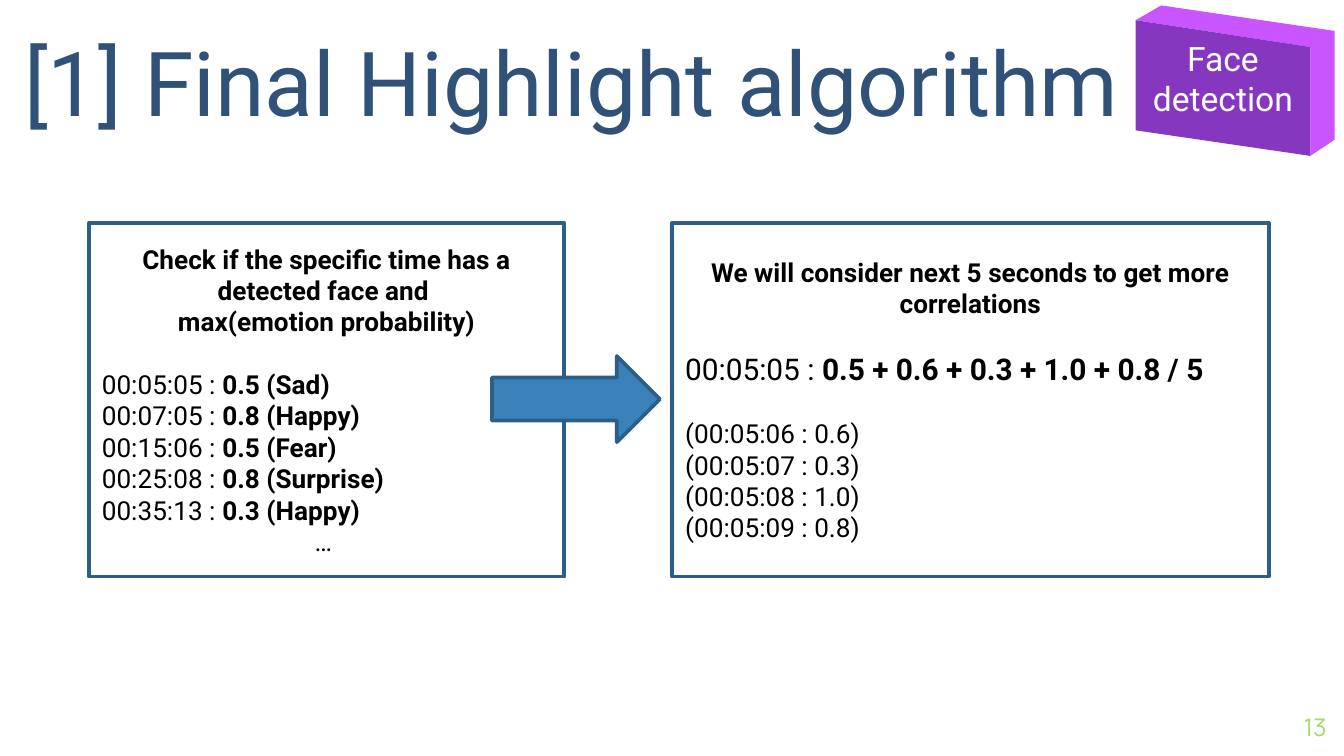
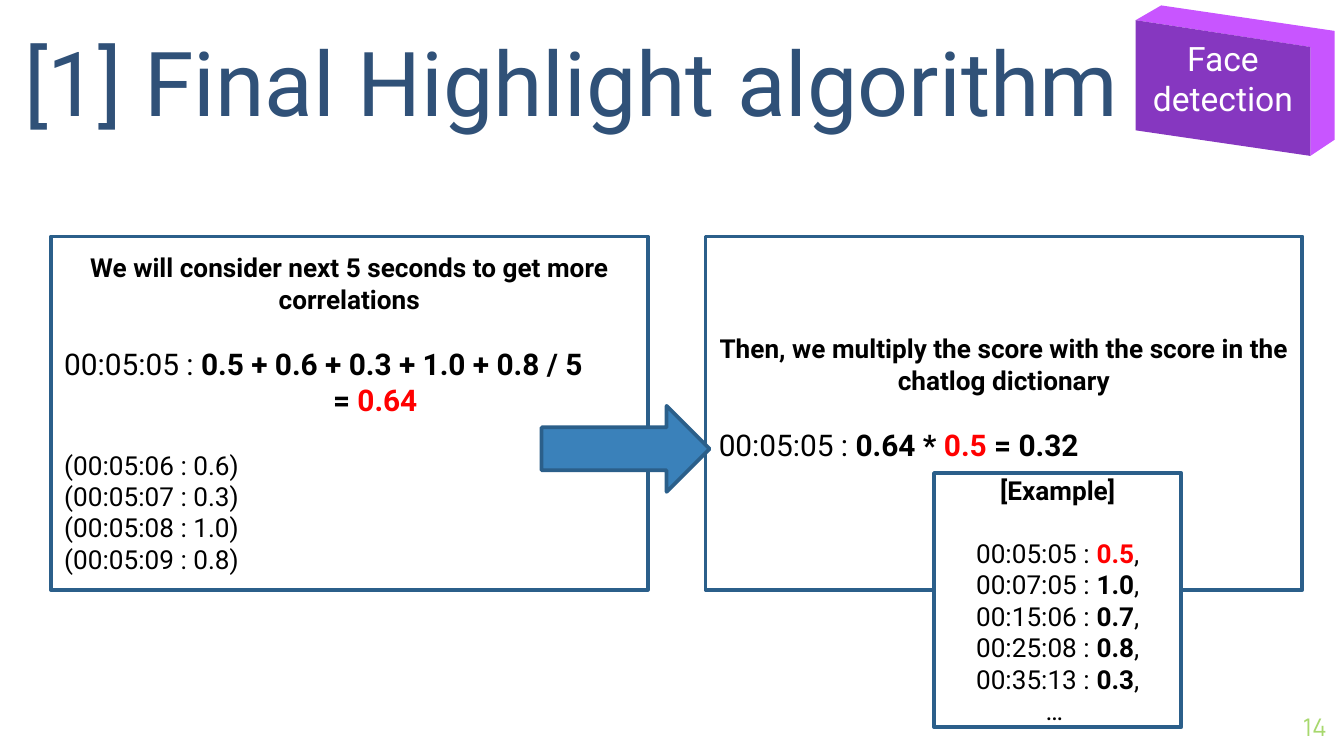
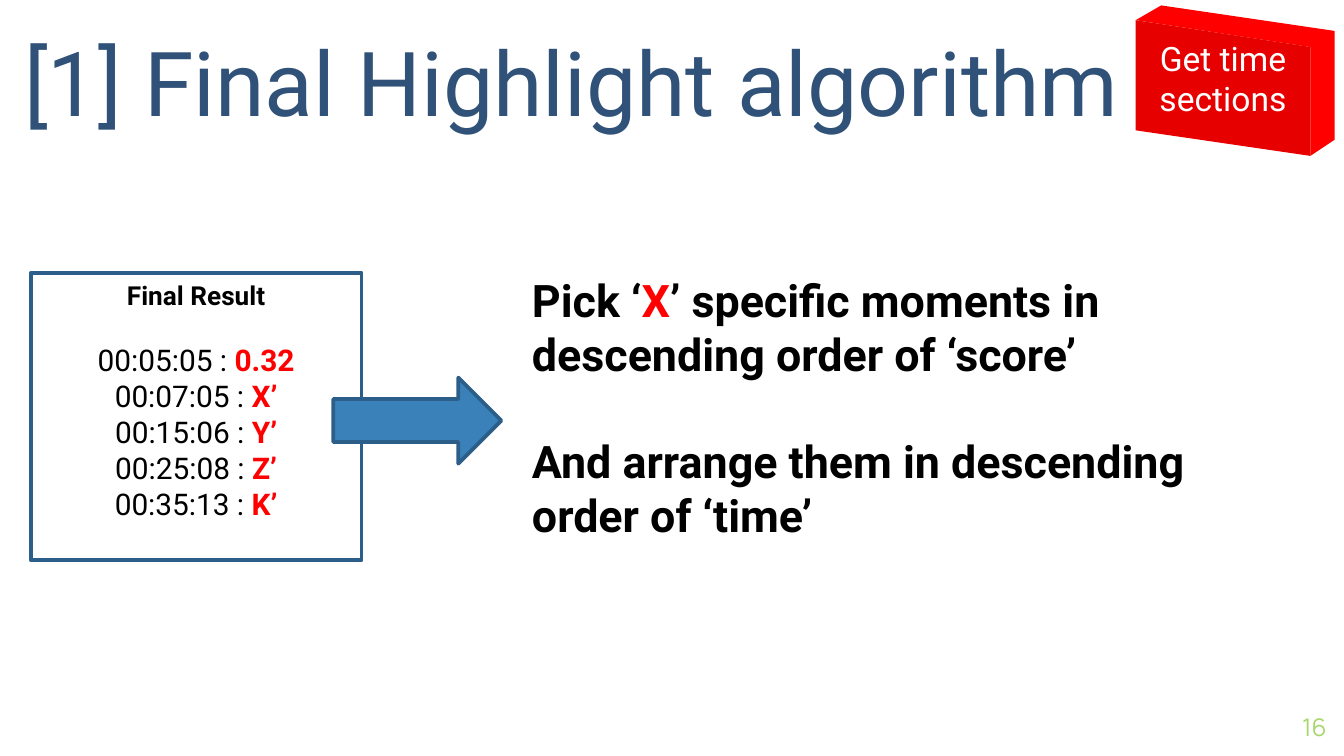
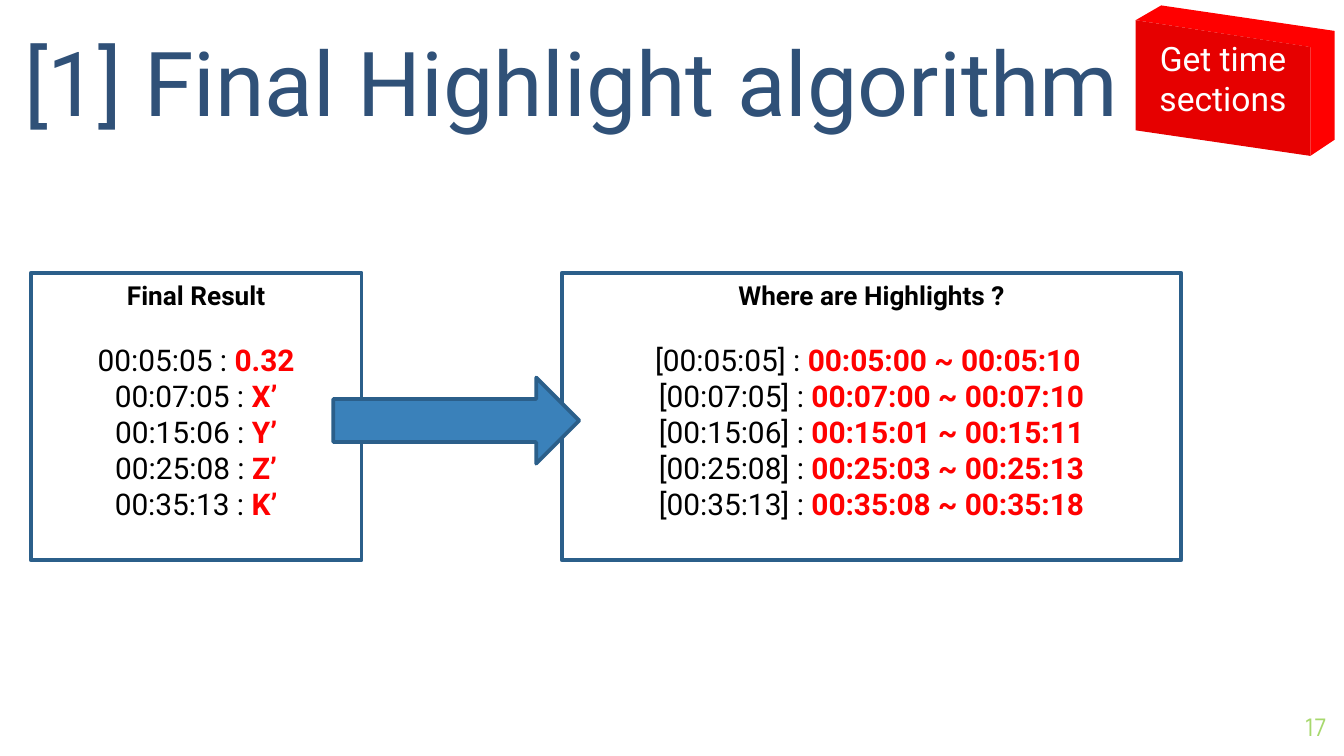
import dataclasses
import pptx
import pptx.util
import pptx.dml.color
import pptx.enum.shapes
import pptx.enum.text

Inches = pptx.util.Inches
Align = pptx.enum.text.PP_ALIGN
Anchor = pptx.enum.text.MSO_ANCHOR
Preset = pptx.enum.shapes.MSO_SHAPE


@dataclasses.dataclass(frozen=True)
class Theme:
    font: str = "Roboto"
    number_font: str = "Manrope"
    title: str = "305178"
    number: str = "A7D86D"
    text: str = "000000"
    accent: str = "FF0000"
    paper: str = "FFFFFF"
    outline: str = "2B5F8A"
    arrow: str = "3A81BA"
    purple: tuple = ("8637C0", "C855FF")
    red: tuple = ("E60000", "FF0000")
    title_size: int = 48
    statement_size: int = 24
    badge_size: int = 18
    score_size: int = 16
    body_size: int = 14
    number_size: int = 13
    line_height: float = 1.2


THEME = Theme()


@dataclasses.dataclass
class Line:
    runs: list
    size: int = THEME.body_size
    align: Align = Align.LEFT
    gap: int = 0
    indent: float = 0


def plain(text):
    return text, False, THEME.text


def bold(text):
    return text, True, THEME.text


def accent(text):
    return text, True, THEME.accent


def heading(text):
    return Line([bold(text)], align=Align.CENTER)


def rgb(value):
    return pptx.dml.color.RGBColor.from_string(value)


def write_lines(shape, lines, anchor=Anchor.TOP, font=THEME.font):
    frame = shape.text_frame
    frame.word_wrap = True
    frame.vertical_anchor = anchor
    for index, line in enumerate(lines):
        paragraph = frame.paragraphs[0] if index == 0 else frame.add_paragraph()
        paragraph.alignment = line.align
        if line.gap:
            paragraph.space_before = pptx.util.Pt(line.gap * THEME.line_height)
        if line.indent:
            paragraph._p.get_or_add_pPr().set("marL", str(Inches(line.indent)))
        for text, is_bold, color in line.runs:
            run = paragraph.add_run()
            run.text = text
            run.font.name = font
            run.font.size = pptx.util.Pt(line.size)
            run.font.bold = is_bold
            run.font.color.rgb = rgb(color)


def add_text(slide, place, lines, anchor=Anchor.TOP, font=THEME.font, margin=None):
    shape = slide.shapes.add_textbox(*map(Inches, place))
    if margin is not None:
        frame = shape.text_frame
        frame.margin_left = frame.margin_right = Inches(margin)
        frame.margin_top = frame.margin_bottom = Inches(margin)
    write_lines(shape, lines, anchor, font)


def add_outlined(slide, preset, place, fill):
    shape = slide.shapes.add_shape(preset, *map(Inches, place))
    shape.shadow.inherit = False
    shape.fill.solid()
    shape.fill.fore_color.rgb = rgb(fill)
    shape.line.color.rgb = rgb(THEME.outline)
    shape.line.width = pptx.util.Pt(2)
    return shape


def add_panel(slide, place, lines, anchor=Anchor.MIDDLE, bottom_margin=0.05):
    panel = add_outlined(slide, Preset.RECTANGLE, place, THEME.paper)
    panel.text_frame.margin_bottom = Inches(bottom_margin)
    write_lines(panel, lines, anchor)


def add_arrow(slide, left, top, width=1.25):
    add_outlined(slide, Preset.RIGHT_ARROW, (left, top, width, 0.64), THEME.arrow)


def add_face(slide, points, color):
    points = [(Inches(x), Inches(y)) for x, y in points]
    builder = slide.shapes.build_freeform(*points[0])
    builder.add_line_segments(points[1:], close=True)
    face = builder.convert_to_shape()
    face.shadow.inherit = False
    face.fill.solid()
    face.fill.fore_color.rgb = rgb(color)
    face.line.fill.background()


def add_badge(slide, labels, colors):
    front_color, edge_color = colors
    left_top, right_top = (8.45, 0.15), (9.75, 0.35)
    left_bottom, right_bottom = (8.45, 0.97), (9.75, 1.16)
    back_left, back_right, back_bottom = (8.64, 0.04), (9.93, 0.23), (9.93, 1.04)
    add_face(slide, [left_top, back_left, back_right, back_bottom, right_bottom, right_top],
             edge_color)
    add_face(slide, [left_top, right_top, right_bottom, left_bottom], front_color)
    lines = [Line([(label, False, THEME.paper)], THEME.badge_size, Align.CENTER)
             for label in labels]
    add_text(slide, (8.38, 0.23, 1.44, 0.85), lines)


def start_slide(presentation, number, badge_labels, badge_colors):
    slide = presentation.slides.add_slide(presentation.slide_layouts[6])
    number_line = Line([(str(number), False, THEME.number)], THEME.number_size, Align.RIGHT)
    add_text(slide, (9.27, 5.19, 0.6, 0.43), [number_line], Anchor.MIDDLE,
             THEME.number_font, 0)
    title = Line([("[1] Final Highlight algorithm", False, THEME.title)], THEME.title_size)
    add_text(slide, (0.18, 0.06, 8.61, 0.94), [title], Anchor.BOTTOM, margin=0)
    add_badge(slide, badge_labels, badge_colors)
    return slide


def gap_first(lines):
    lines[0].gap = THEME.body_size
    return lines


def correlation_lines(result=None):
    lines = [
        heading("We will consider next 5 seconds to get more correlations"),
        Line([plain("00:05:05 : "), bold("0.5 + 0.6 + 0.3 + 1.0 + 0.8 / 5")],
             THEME.score_size, gap=THEME.body_size),
    ]
    if result:
        lines.append(Line([bold("= "), accent(result)], THEME.score_size, indent=2))
    scores = [("00:05:06", "0.6"), ("00:05:07", "0.3"), ("00:05:08", "1.0"), ("00:05:09", "0.8")]
    return lines + gap_first([Line([plain(f"({time} : {score})")]) for time, score in scores])


def add_result_panel(slide, place, title, rows):
    lines = [Line([plain(f"{label} : "), accent(value)], THEME.score_size, Align.CENTER)
             for label, value in rows]
    add_panel(slide, place, [heading(title)] + gap_first(lines), Anchor.TOP)


def add_final_result(slide, times):
    values = ["0.32", "X’", "Y’", "Z’", "K’"]
    add_result_panel(slide, (0.23, 2.03, 2.46, 2.14), "Final Result", zip(times, values))


def build_emotion_slide(presentation, times, badge):
    slide = start_slide(presentation, 13, *badge)
    emotions = ["0.5 (Sad)", "0.8 (Happy)", "0.5 (Fear)", "0.8 (Surprise)", "0.3 (Happy)"]
    rows = gap_first([Line([plain(f"{time} : "), bold(emotion)])
                      for time, emotion in zip(times, emotions)])
    add_panel(slide, (0.66, 1.66, 3.54, 2.63), [
        heading("Check if the specific time has a detected face and "),
        heading("max(emotion probability)"),
        *rows,
        Line([plain("… ")], align=Align.CENTER),
    ])
    add_panel(slide, (5, 1.66, 4.44, 2.63), correlation_lines())
    add_arrow(slide, 3.66, 2.65)


def build_multiply_slide(presentation, times, badge):
    slide = start_slide(presentation, 14, *badge)
    add_panel(slide, (0.38, 1.76, 4.44, 2.63), correlation_lines("0.64"))
    add_panel(slide, (5.25, 1.76, 4.44, 2.63), [
        heading("Then, we multiply the score with the score in the chatlog dictionary"),
        Line([plain("00:05:05 : "), bold("0.64 * "), accent("0.5"), bold(" = 0.32")],
             THEME.score_size, gap=THEME.body_size),
    ], bottom_margin=0.28)
    scores = [accent("0.5"), bold("1.0"), bold("0.7"), bold("0.8"), bold("0.3")]
    rows = gap_first([Line([plain(f"{time} : "), score, plain(",")], align=Align.CENTER)
                      for time, score in zip(times, scores)])
    add_panel(slide, (6.95, 3.52, 1.84, 1.89), [
        heading("[Example]"), *rows, Line([plain("… ")], align=Align.CENTER)])
    add_arrow(slide, 4.03, 3.02)


def build_pick_slide(presentation, times, badge):
    slide = start_slide(presentation, 16, *badge)
    add_final_result(slide, times)
    add_text(slide, (3.86, 1.98, 5.24, 2.46), [
        Line([bold("Pick ‘"), accent("X"),
              bold("’ specific moments in descending order of ‘score’")],
             THEME.statement_size),
        Line([bold("And arrange them in descending order of ‘time’")],
             THEME.statement_size, gap=THEME.statement_size),
    ])
    add_arrow(slide, 2.48, 2.81)


def build_sections_slide(presentation, times, badge):
    slide = start_slide(presentation, 17, *badge)
    add_final_result(slide, times)
    sections = ["00:05:00 ~ 00:05:10 ", "00:07:00 ~ 00:07:10", "00:15:01 ~ 00:15:11",
                "00:25:03 ~ 00:25:13", "00:35:08 ~ 00:35:18"]
    labels = [f"[{time}]" for time in times]
    add_result_panel(slide, (4.18, 2.03, 4.61, 2.14), "Where are Highlights ?",
                     zip(labels, sections))
    add_arrow(slide, 2.48, 2.81, 1.83)


def main():
    presentation = pptx.Presentation()
    presentation.slide_width = Inches(10)
    presentation.slide_height = Inches(10 * 9 / 16)
    times = ["00:05:05", "00:07:05", "00:15:06", "00:25:08", "00:35:13"]
    face_badge = (["Face", "detection"], THEME.purple)
    time_badge = (["Get time sections"], THEME.red)
    build_emotion_slide(presentation, times, face_badge)
    build_multiply_slide(presentation, times, face_badge)
    build_pick_slide(presentation, times, time_badge)
    build_sections_slide(presentation, times, time_badge)
    presentation.save("out.pptx")


if __name__ == "__main__":
    main()
